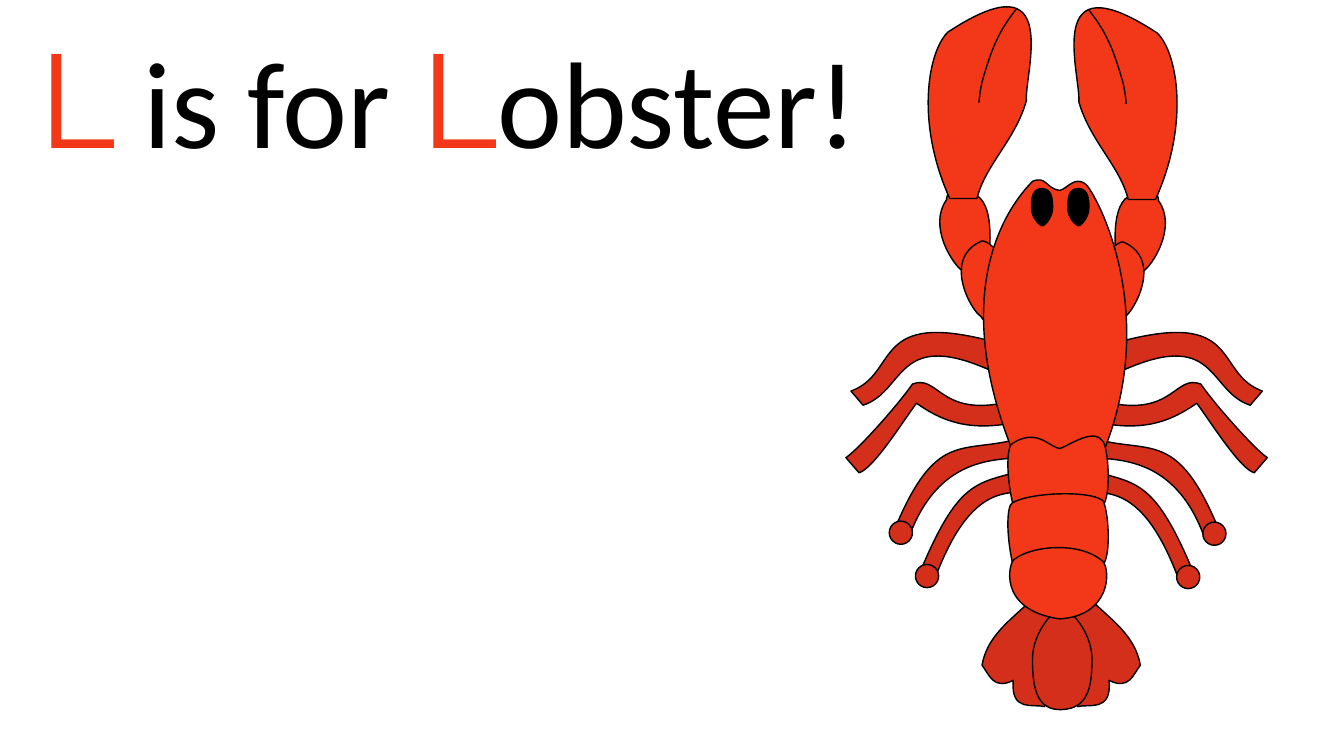
from dataclasses import dataclass
from typing import Optional

from lxml import etree
from pptx import Presentation
from pptx import util as u
from pptx.dml.color import RGBColor
from pptx.enum import shapes, text
from pptx.oxml.ns import qn
from pptx.shapes.shapetree import GroupShapes

PX = 9144  # EMU in one px, 100 px to the inch
CURVE_STEPS = 16

BLACK = RGBColor(0x00, 0x00, 0x00)
WHITE = RGBColor(0xFF, 0xFF, 0xFF)
RED = RGBColor(0xF3, 0x38, 0x19)
DARK_RED = RGBColor(0xD4, 0x2F, 0x1B)

Point = tuple[int, int]


@dataclass(frozen=True)
class Outline:
    """A start point, then lines (x, y) and cubic curves (x1, y1, x2, y2, x, y)."""
    start: Point
    segments: tuple[tuple[int, ...], ...]
    fill: Optional[RGBColor] = RED


@dataclass(frozen=True)
class Placement:
    """Shifts an outline; with a mirror sum, x becomes mirror_sum - x."""
    dx: int = 0
    dy: int = 0
    mirror_sum: Optional[int] = None

    def apply(self, x: int, y: int) -> Point:
        across = x if self.mirror_sum is None else self.mirror_sum - x
        return across + self.dx, y + self.dy


@dataclass(frozen=True)
class TitleRun:
    words: str
    font: str = "Calibri"
    size: int = 88
    color: RGBColor = BLACK


@dataclass(frozen=True)
class Limb:
    outlines: tuple[Outline, ...]
    right_side: Placement


IN_PLACE = Placement()
CAPITAL = TitleRun("L", "Montserrat", 96, RED)
TITLE = (CAPITAL, TitleRun(" is for "), CAPITAL, TitleRun("obster"), TitleRun("! "))

TAIL_SIDE = Limb((
    Outline((1031, 586), ((1055, 601), (1049, 634, 1048, 668, 1036, 701),
                          (1025, 698, 1002, 707, 1005, 675), (985, 685, 981, 669, 974, 660),
                          (980, 625, 1012, 610, 1031, 586)), DARK_RED),
), Placement(mirror_sum=2105))

TAIL_MIDDLE = Outline((1024, 654), (
    (1024, 626, 1047, 603, 1053, 603), (1060, 603, 1083, 626, 1083, 654),
    (1083, 682, 1079, 703, 1053, 704), (1028, 705, 1024, 682, 1024, 654)), DARK_RED)

CLAW_ARM = Limb((
    Outline((939, 198), ((938, 196, 944, 182, 947, 181), (962, 179),
                         (964, 179, 964, 190, 965, 192), (988, 200, 981, 248, 981, 263),
                         (981, 265, 980, 268, 977, 268), (960, 272),
                         (957, 272, 955, 271, 955, 269), (945, 263, 920, 224, 939, 198))),
    Outline((974, 239), ((983, 238, 1023, 277, 999, 308), (999, 310, 998, 313, 996, 313),
                         (978, 317), (976, 318, 973, 316, 973, 314),
                         (963, 308, 934, 256, 974, 239))),
    Outline((940, 32), ((1055, -44, 1016, 73, 1018, 100), (1007, 139, 977, 164, 969, 197),
                        (942, 197), (908, 122, 920, 52, 940, 32))),
    Outline((1008, 9), ((1001, 18, 994, 28, 989, 39), (983, 51, 978, 68, 975, 78),
                        (972, 88, 971, 102, 971, 102)), None),
), Placement(dy=1, mirror_sum=2088))

LEGS = Limb((
    Outline((844, 388), ((893, 370, 863, 305, 989, 340), (988, 370),
                         (888, 323, 899, 388, 856, 402), (844, 388)), DARK_RED),
    Outline((839, 454), ((850, 447, 889, 404, 905, 381), (931, 371, 932, 414, 999, 399),
                         (1012, 418), (964, 429, 936, 419, 909, 400),
                         (893, 422, 866, 465, 852, 469), (839, 454)), DARK_RED),
    Outline((889, 521), ((934, 415, 961, 458, 1031, 428), (1048, 449),
                         (1027, 465, 942, 428, 903, 529), (889, 521)), DARK_RED),
    Outline((914, 564), ((959, 458, 975, 485, 1046, 456), (1038, 489),
                         (1007, 491, 967, 470, 928, 572), (914, 564)), DARK_RED),
), Placement(mirror_sum=2096))

FOOT_SIZE = 23
FOOT_CORNERS = ((908, 560), (882, 517))
RIGHT_FEET = Placement(dx=-FOOT_SIZE, dy=1, mirror_sum=2098)

BODY = (
    Outline((1024, 180), ((1038, 174, 1037, 187, 1051, 189), (1059, 187, 1066, 174, 1077, 183),
                          (1085, 189, 1156, 313, 1089, 461), (1010, 461),
                          (928, 271, 1017, 188, 1024, 180))),
    Outline((1004, 440), ((1029, 424, 1041, 444, 1051, 445), (1057, 444, 1084, 424, 1093, 437),
                          (1098, 438, 1103, 484, 1095, 500), (1005, 502),
                          (997, 469, 999, 442, 1004, 440))),
    Outline((1004, 499), ((1019, 489, 1078, 486, 1093, 496), (1098, 498, 1103, 544, 1095, 559),
                          (1005, 562), (997, 528, 999, 501, 1004, 499))),
    Outline((1006, 555), ((1022, 542, 1070, 536, 1094, 557), (1102, 567, 1101, 611, 1051, 614),
                          (988, 605, 1001, 557, 1006, 555))),
)
EYE = Outline((1023, 206), (
    (1023, 216, 1031, 224, 1034, 224), (1036, 224, 1044, 216, 1044, 206),
    (1044, 196, 1043, 188, 1034, 187), (1024, 187, 1023, 196, 1023, 206)), BLACK)
EYE_GAP = 36


def bounds(start: Point, segments: list[list[Point]]) -> tuple[Point, Point]:
    """Top left and bottom right corners of what the lines and curves cover."""
    covered = [start]
    for segment in segments:
        if len(segment) == 3:
            controls = (covered[-1], *segment)
            for step in range(1, CURVE_STEPS):
                t = step / CURVE_STEPS
                weights = ((1 - t) ** 3, 3 * t * (1 - t) ** 2, 3 * t ** 2 * (1 - t), t ** 3)
                covered.insert(0, tuple(round(sum(w * c[axis] for w, c in zip(weights, controls)))
                                        for axis in (0, 1)))
        covered.append(segment[-1])
    across, down = zip(*covered)
    return (min(across), min(down)), (max(across), max(down))


def style(shape, fill: Optional[RGBColor]) -> None:
    shape.shadow.inherit = False
    if fill is None:
        shape.fill.background()
    else:
        shape.fill.solid()
        shape.fill.fore_color.rgb = fill
    shape.line.color.rgb = BLACK
    shape.line.width = u.Pt(1)


def draw_outline(lobster: GroupShapes, outline: Outline, placement: Placement = IN_PLACE) -> None:
    """Builds a freeform over the bounds, then gives it the true lines and curves."""
    start = placement.apply(*outline.start)
    segments = [[placement.apply(*pair) for pair in zip(segment[::2], segment[1::2])]
                for segment in outline.segments]
    (left, top), corner = bounds(start, segments)
    builder = lobster.build_freeform(left, top, scale=PX)
    builder.add_line_segments([corner], close=False)
    shape = builder.convert_to_shape()
    track = shape._element.find(".//" + qn("a:path"))
    for child in list(track):
        track.remove(child)
    tags = {1: "a:lnTo", 3: "a:cubicBezTo"}
    steps = [("a:moveTo", [start])] + [(tags[len(segment)], segment) for segment in segments]
    for tag, points in steps:
        step = etree.SubElement(track, qn(tag))
        for x, y in points:
            etree.SubElement(step, qn("a:pt"), x=str(x - left), y=str(y - top))
    if outline.fill is not None:
        etree.SubElement(track, qn("a:close"))
    style(shape, outline.fill)


def draw_limb(lobster: GroupShapes, limb: Limb) -> None:
    for placement in (IN_PLACE, limb.right_side):
        for outline in limb.outlines:
            draw_outline(lobster, outline, placement)


def draw_feet(lobster: GroupShapes) -> None:
    for placement in (IN_PLACE, RIGHT_FEET):
        for corner in FOOT_CORNERS:
            left, top = placement.apply(*corner)
            style(lobster.add_shape(shapes.MSO_SHAPE.OVAL, left * PX, top * PX,
                                    FOOT_SIZE * PX, FOOT_SIZE * PX), DARK_RED)


def draw_title(slide) -> None:
    frame = slide.shapes.add_textbox(-24 * PX, 9 * PX, 962 * PX, 172 * PX).text_frame
    frame.word_wrap = True
    frame.auto_size = text.MSO_AUTO_SIZE.SHAPE_TO_FIT_TEXT
    paragraph = frame.paragraphs[0]
    paragraph.alignment = text.PP_ALIGN.CENTER
    for title_run in TITLE:
        run = paragraph.add_run()
        run.text = title_run.words
        run.font.name, run.font.size = title_run.font, u.Pt(title_run.size)
        run.font.color.rgb = title_run.color


presentation = Presentation()
presentation.slide_width, presentation.slide_height = 1333 * PX, 750 * PX
slide = presentation.slides.add_slide(presentation.slide_layouts[6])
slide.background.fill.solid()
slide.background.fill.fore_color.rgb = WHITE
draw_title(slide)
lobster = slide.shapes.add_group_shape().shapes
draw_limb(lobster, TAIL_SIDE)
draw_outline(lobster, TAIL_MIDDLE)
for limb in (CLAW_ARM, LEGS):
    draw_limb(lobster, limb)
draw_feet(lobster)
for outline in BODY:
    draw_outline(lobster, outline)
for dx in (0, EYE_GAP):
    draw_outline(lobster, EYE, Placement(dx=dx))
presentation.save("out.pptx")
